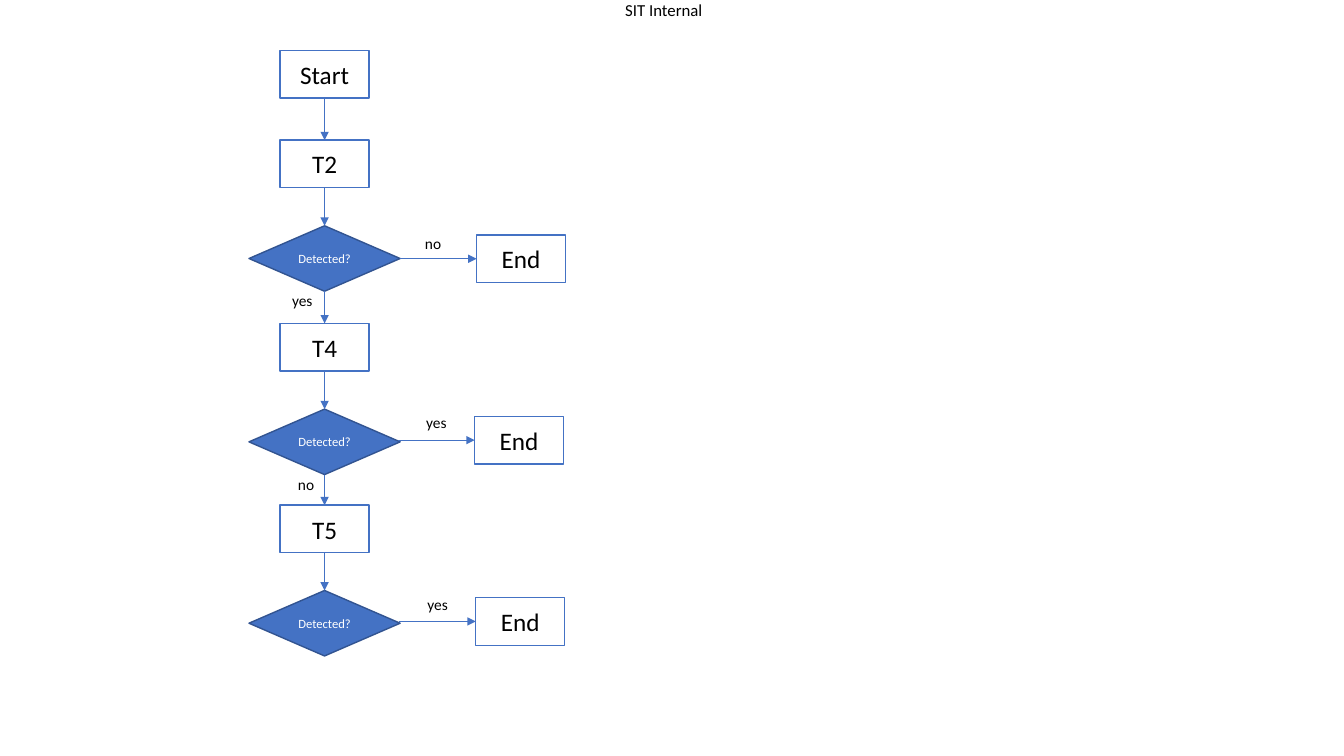
from pptx import Presentation
from pptx.util import Cm, Pt
from pptx.dml.color import RGBColor
from pptx.enum.shapes import MSO_SHAPE, MSO_CONNECTOR
from pptx.enum.text import PP_ALIGN, MSO_ANCHOR, MSO_AUTO_SIZE
from pptx.oxml.ns import qn
from lxml.etree import SubElement

# Content: spine steps (text, kind, top), exits (text, left, top), labels
HEADER = "SIT Internal"
STEPS = [
    ("Start", "box", 1.27),
    ("T2", "box", 3.53),
    ("Detected?", "test", 5.69),
    ("T4", "box", 8.15),
    ("Detected?", "test", 10.31),
    ("T5", "box", 12.73),
    ("Detected?", "test", 14.88),
]
EXITS = [("End", 12.01, 5.92), ("End", 11.96, 10.49), ("End", 11.99, 15.06)]
LABELS = [
    ("no", 10.46, 5.77), ("yes", 10.49, 10.29), ("yes", 10.52, 14.88),
    ("yes", 7.11, 7.21), ("no", 7.26, 11.84),
]

# Look
HEX = {"blue": "4472C4", "navy": "325491", "white": "FFFFFF", "black": "000000"}
KINDS = {
    "box": dict(form=MSO_SHAPE.RECTANGLE, wide=2.24, high=1.2, fill="white",
                edge="blue", size=18, color="black"),
    "test": dict(form=MSO_SHAPE.DIAMOND, wide=3.81, high=1.65, fill="blue",
                 edge="navy", size=9, color="white"),
}
AXIS = 8.18
REACH = 1.93
WIDTHS = {"no": 0.91, "yes": 1.04}


def tint(name):
    return RGBColor.from_string(HEX[name])


def write(shape, text, size=11, color="black", align=PP_ALIGN.CENTER,
          anchor=MSO_ANCHOR.MIDDLE, wrap=True):
    frame = shape.text_frame
    frame.word_wrap = wrap
    frame.vertical_anchor = anchor
    para = frame.paragraphs[0]
    para.alignment = align
    run = para.add_run()
    run.text = text
    run.font.name = "Calibri"
    run.font.size = Pt(size)
    run.font.color.rgb = tint(color)
    return frame


def node(text, kind, left, top):
    look = KINDS[kind]
    shape = shapes.add_shape(look["form"], Cm(left), Cm(top),
                             Cm(look["wide"]), Cm(look["high"]))
    shape.shadow.inherit = False
    shape.fill.solid()
    shape.fill.fore_color.rgb = tint(look["fill"])
    shape.line.color.rgb = tint(look["edge"])
    shape.line.width = Pt(1)
    write(shape, text, size=look["size"], color=look["color"])
    return shape


def note(text, left, top, wide, high, **style):
    box = shapes.add_textbox(Cm(left), Cm(top), Cm(wide), Cm(high))
    frame = write(box, text, anchor=MSO_ANCHOR.TOP, **style)
    frame.auto_size = MSO_AUTO_SIZE.SHAPE_TO_FIT_TEXT
    return frame


def arrow(x1, y1, x2, y2):
    link = shapes.add_connector(MSO_CONNECTOR.STRAIGHT,
                                Cm(x1), Cm(y1), Cm(x2), Cm(y2))
    link.line.color.rgb = tint("blue")
    link.line.width = Pt(0.5)
    SubElement(link.line._get_or_add_ln(), qn("a:tailEnd"), type="triangle")
    SubElement(link._element.spPr, qn("a:effectLst"))
    return link


deck = Presentation()
deck.slide_width, deck.slide_height = Cm(33.87), Cm(19.05)
shapes = deck.slides.add_slide(deck.slide_layouts[6]).shapes

# Header line
head = note(HEADER, 15.7, 0, 2.06, 0.51, size=12, wrap=False)
head.margin_left = head.margin_right = head.margin_top = head.margin_bottom = 0

# Spine: steps centred on the axis, each joined to the one before
last = None
for text, kind, top in STEPS:
    step = node(text, kind, AXIS - KINDS[kind]["wide"] / 2, top)
    if last is not None:
        link = arrow(AXIS, top, AXIS, top)
        link.begin_connect(last, 2)
        link.end_connect(step, 0)
    last = step

# Exits to the right, with level arrows
for text, left, top in EXITS:
    node(text, "box", left, top)
    level = top + KINDS["box"]["high"] / 2
    arrow(left - REACH, level, left, level)

# Branch labels
for text, left, top in LABELS:
    note(text, left, top, WIDTHS[text], 0.74, align=PP_ALIGN.LEFT, wrap=False)

deck.save("out.pptx")
